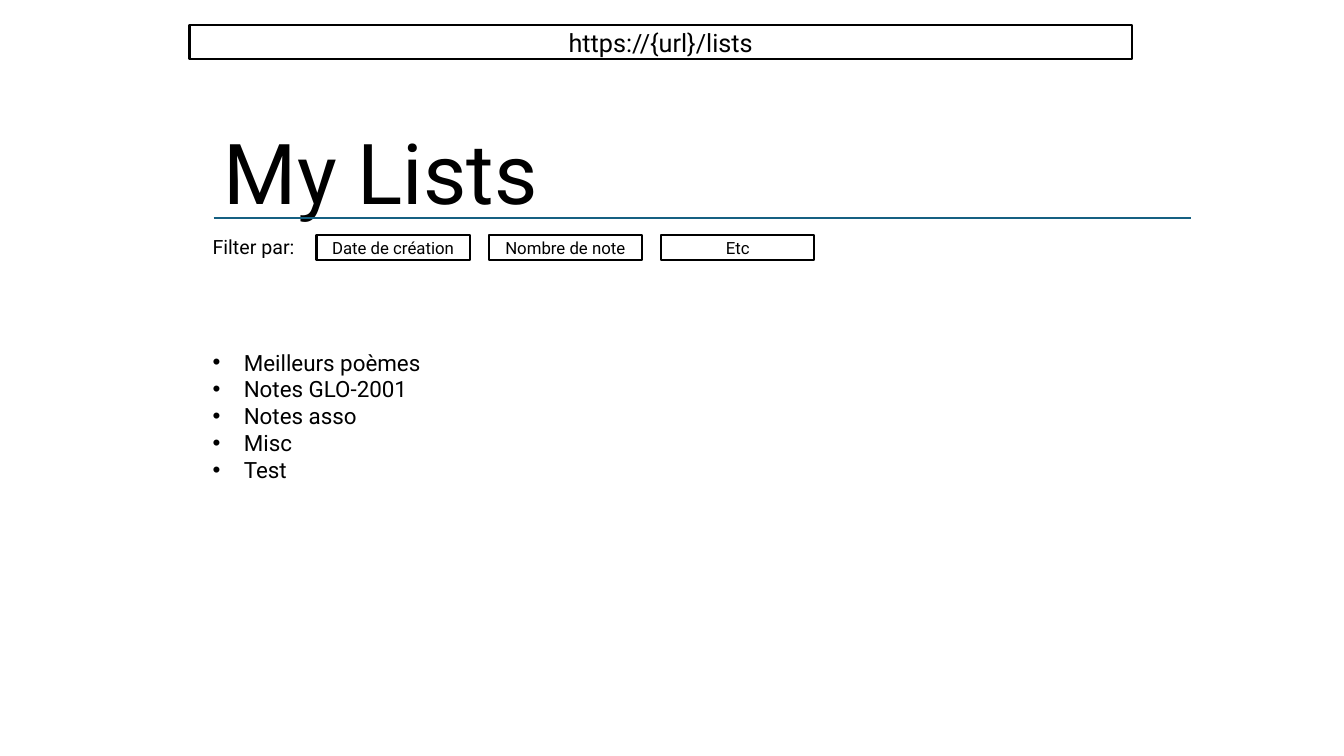
import pptx
import pptx.dml.color
import pptx.enum.shapes
import pptx.enum.text
import pptx.oxml.ns
import pptx.util
from lxml import etree

SLIDE_WIDTH = pptx.util.Inches(13.33)
SLIDE_HEIGHT = pptx.util.Inches(7.5)
FONT = "Roboto"
BLACK, WHITE, BLUE = "000000", "FFFFFF", "156082"
LEFT = pptx.enum.text.PP_ALIGN.LEFT
CENTER = pptx.enum.text.PP_ALIGN.CENTER
MIDDLE = pptx.enum.text.MSO_ANCHOR.MIDDLE

LISTS = ["Meilleurs poèmes", "Notes GLO-2001", "Notes asso", "Misc", "Test"]
FILTERS = ["Date de création", "Nombre de note", "Etc"]
FILTER_LEFT, FILTER_PITCH = 23.55, 12.82


def color(hex_string):
    return pptx.dml.color.RGBColor.from_string(hex_string)


def across(percent):
    return round(SLIDE_WIDTH * percent / 100)


def down(percent):
    return round(SLIDE_HEIGHT * percent / 100)


def area(left, top, width, height):
    """Turn percentages of the slide's size into a position and size."""
    return across(left), down(top), across(width), down(height)


def write(shape, text, size, alignment=LEFT):
    frame = shape.text_frame
    frame.word_wrap = True
    frame.text = text
    for paragraph in frame.paragraphs:
        paragraph.alignment = alignment
        for run in paragraph.runs:
            run.font.name = FONT
            run.font.size = pptx.util.Pt(size)
            run.font.color.rgb = color(BLACK)


def format_title(slide, text, box):
    title = slide.shapes.title
    title.left, title.top, title.width, title.height = box
    write(title, text, 60)
    title.text_frame.auto_size = pptx.enum.text.MSO_AUTO_SIZE.NONE
    title.text_frame.vertical_anchor = pptx.enum.text.MSO_ANCHOR.BOTTOM
    title.text_frame.paragraphs[0].line_spacing = 0.9


def add_rule(slide, left, right, top):
    rule = slide.shapes.add_connector(
        pptx.enum.shapes.MSO_CONNECTOR.STRAIGHT,
        across(left), down(top), across(right), down(top))
    rule.line.color.rgb = color(BLUE)
    rule.line.width = pptx.util.Pt(1.5)
    etree.SubElement(rule._element.spPr, pptx.oxml.ns.qn("a:effectLst"))


def add_text(slide, text, size, box):
    text_box = slide.shapes.add_textbox(*box)
    write(text_box, text, size)
    text_box.text_frame.auto_size = pptx.enum.text.MSO_AUTO_SIZE.SHAPE_TO_FIT_TEXT
    return text_box


def add_bullets(text_box):
    indent = pptx.util.Inches(0.31)
    for paragraph in text_box.text_frame.paragraphs:
        properties = paragraph._p.get_or_add_pPr()
        properties.set("marL", str(indent))
        properties.set("indent", str(-indent))
        font = etree.SubElement(properties, pptx.oxml.ns.qn("a:buFont"))
        font.set("typeface", "Arial")
        bullet = etree.SubElement(properties, pptx.oxml.ns.qn("a:buChar"))
        bullet.set("char", "•")


def add_outlined_box(slide, text, size, box):
    shape = slide.shapes.add_shape(
        pptx.enum.shapes.MSO_SHAPE.RECTANGLE, *box)
    shape.shadow.inherit = False
    shape.fill.solid()
    shape.fill.fore_color.rgb = color(WHITE)
    shape.line.color.rgb = color(BLACK)
    shape.line.width = pptx.util.Pt(1.5)
    write(shape, text, size, CENTER)
    shape.text_frame.vertical_anchor = MIDDLE


def main():
    presentation = pptx.Presentation()
    presentation.slide_width = SLIDE_WIDTH
    presentation.slide_height = SLIDE_HEIGHT
    slide = presentation.slides.add_slide(presentation.slide_layouts[5])

    format_title(slide, "My Lists", area(15.9, 16.4, 26.62, 13.73))
    add_rule(slide, 15.9, 88.65, 28.8)
    lists = add_text(slide, "\n".join(LISTS), 16, area(15.08, 45.47, 34.95, 19.33))
    add_bullets(lists)
    add_outlined_box(slide, "https://{url}/lists", 18, area(14.1, 3.33, 70.12, 4.53))
    add_text(slide, "Filter par:", 14, area(15.08, 30.4, 8.1, 4.53))
    for index, name in enumerate(FILTERS):
        left = FILTER_LEFT + index * FILTER_PITCH
        add_outlined_box(slide, name, 12, area(left, 31.07, 11.4, 3.33))

    presentation.save("out.pptx")


if __name__ == "__main__":
    main()
